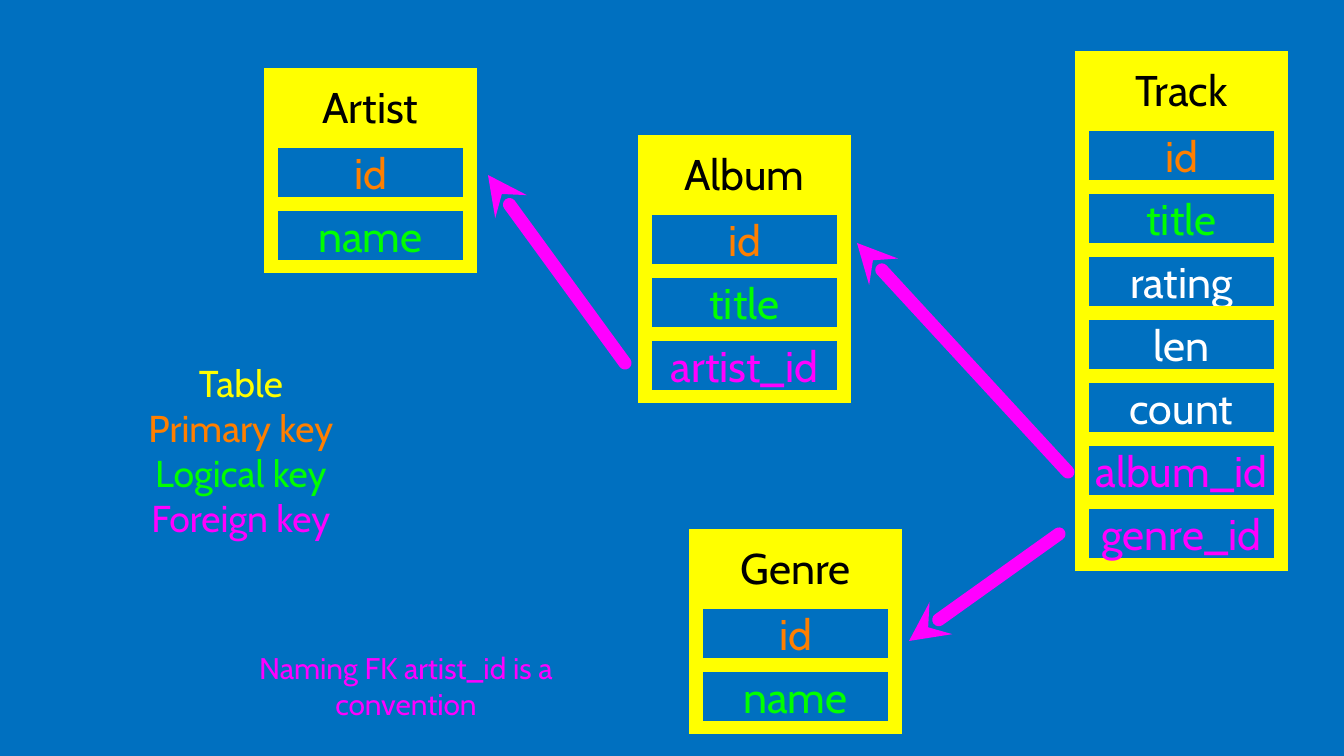
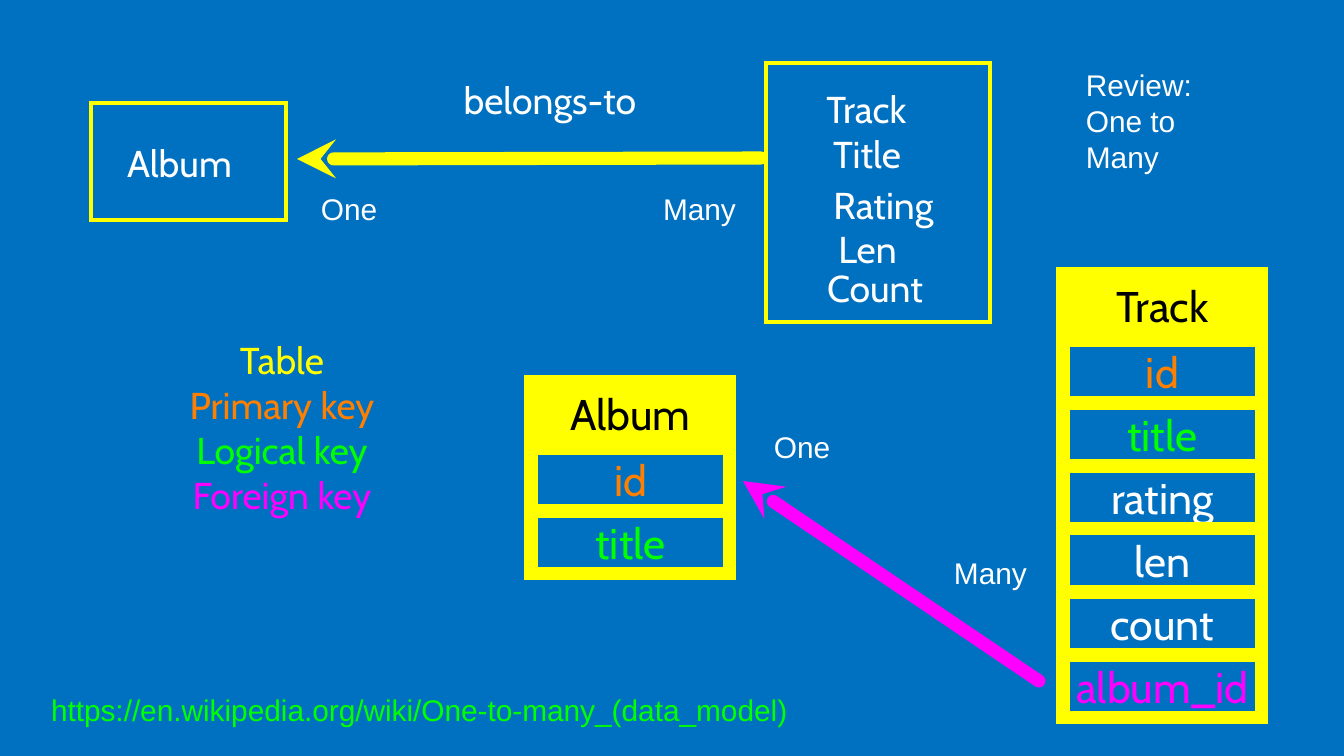
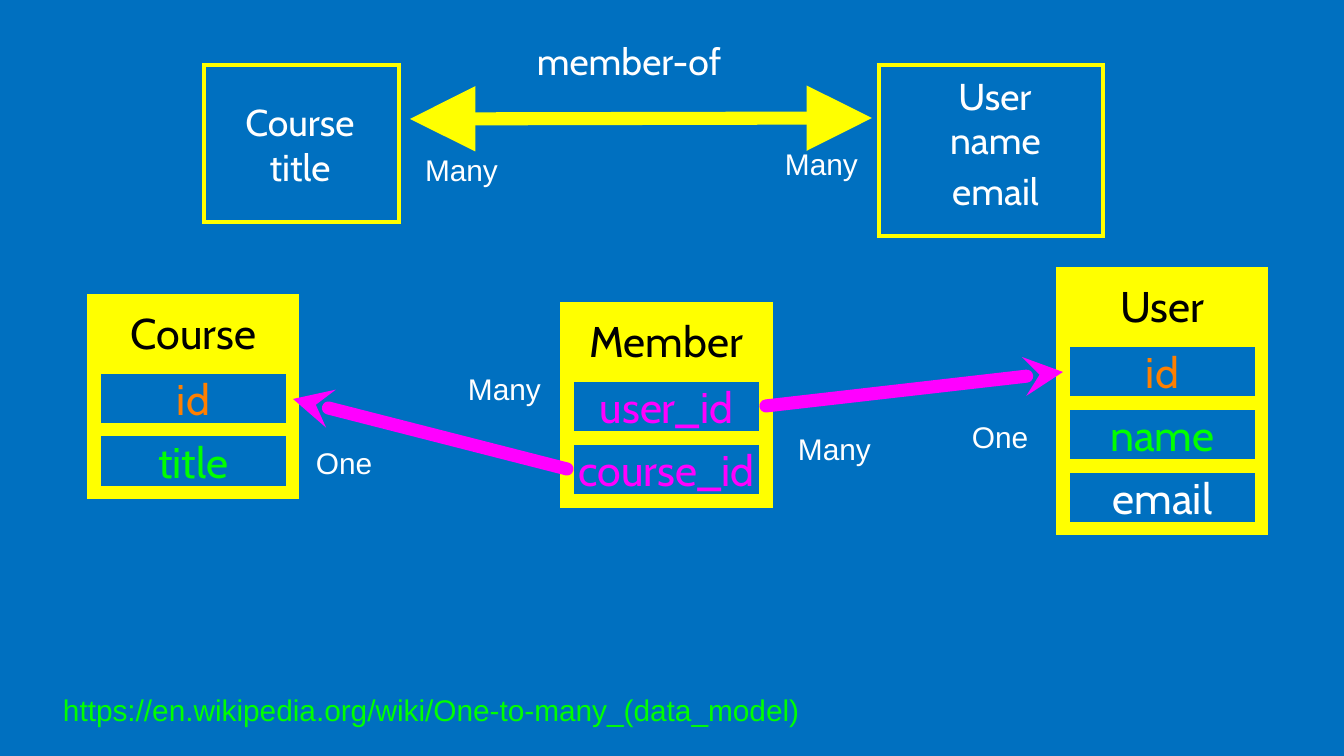
from pptx import Presentation, util as u
from pptx.dml.color import RGBColor
from pptx.enum import shapes, text
from pptx.oxml.ns import qn
from lxml import etree

EMU_PER_PX = 914400 / 134.4
BLUE, YELLOW, ORANGE, GREEN = "0070C0", "FFFF00", "FF7F00", "00FF00"
MAGENTA, WHITE, BLACK = "FF00FF", "FFFFFF", "000000"
HEADING, BODY = "Cabin", "Arial"
THICK, THIN = 7, 2
TABLE_WIDTH, ROW_HEIGHT, FIRST_ROW = 199, 63, 66
LEGEND = [("Table", YELLOW), ("Primary key", ORANGE),
          ("Logical key", GREEN), ("Foreign key", MAGENTA)]
REFERENCE = "https://en.wikipedia.org/wiki/One-to-many_(data_model)"


def px(*lengths):
    return [u.Emu(round(length * EMU_PER_PX)) for length in lengths]


def colour(hex_value):
    return RGBColor.from_string(hex_value)


def assign(target, values):
    for name, value in values.items():
        setattr(target, name, value)


def field_colour(field):
    """Pick the key colour that the field's name implies."""
    if field.endswith("_id"):
        return MAGENTA
    return {"id": ORANGE, "title": GREEN, "name": GREEN}.get(field, WHITE)


class Diagram:
    def __init__(self):
        self.deck = Presentation()
        self.deck.slide_width, self.deck.slide_height = px(1344, 756)
        fill = self.deck.slide_master.background.fill
        fill.solid()
        fill.fore_color.rgb = colour(BLUE)
        self.page = None

    def new_page(self):
        self.page = self.deck.slides.add_slide(self.deck.slide_layouts[6])

    def outline(self, shape, hex_value, width):
        shape.line.color.rgb = colour(hex_value)
        shape.line.width = u.Pt(width)
        return shape.line._get_or_add_ln()

    def set_text(self, shape, lines, size, font=HEADING,
                 align=text.PP_ALIGN.CENTER, anchor=text.MSO_ANCHOR.MIDDLE,
                 insets=(0, 0, 0, 0)):
        """Fill a shape with (words, colour) lines."""
        frame = shape.text_frame
        left, top, right, bottom = px(*insets)
        assign(frame, {"word_wrap": True, "vertical_anchor": anchor,
                       "margin_left": left, "margin_top": top,
                       "margin_right": right, "margin_bottom": bottom})
        for index, (words, hex_value) in enumerate(lines):
            para = frame.add_paragraph() if index else frame.paragraphs[0]
            para.alignment = align
            span = para.add_run()
            span.text = words
            assign(span.font, {"name": font, "size": u.Pt(size)})
            span.font.color.rgb = colour(hex_value)

    def box(self, left, top, width, height, line_width=THIN, fill=None):
        box = self.page.shapes.add_shape(
            shapes.MSO_SHAPE.RECTANGLE, *px(left, top, width, height))
        box.shadow.inherit = False
        if fill:
            box.fill.solid()
            box.fill.fore_color.rgb = colour(fill)
        else:
            box.fill.background()
        line = self.outline(box, YELLOW, line_width)
        etree.SubElement(line, qn("a:miter"), lim="800000")
        return box

    def table_model(self, left, top, name, *fields):
        """Stack a filled heading and one outlined box for each field."""
        heading = self.box(left, top, TABLE_WIDTH, ROW_HEIGHT, THICK, YELLOW)
        self.set_text(heading, [(name, BLACK)], 23)
        for index, field in enumerate(fields):
            row = self.box(left, top + FIRST_ROW + index * ROW_HEIGHT,
                           TABLE_WIDTH, ROW_HEIGHT, THICK)
            self.set_text(row, [(field, field_colour(field))], 23)

    def arrow(self, tip, end, hex_value=MAGENTA, both=False):
        """Point at tip with a slim head, or at both ends with large triangles."""
        arrow = self.page.shapes.add_connector(
            shapes.MSO_CONNECTOR.STRAIGHT, *px(*tip, *end))
        line = self.outline(arrow, hex_value, THICK)
        line.set("cap", "rnd")
        etree.SubElement(line, qn("a:round"))
        kind, size = ("triangle", "lg") if both else ("stealth", "med")
        for tag in ("a:headEnd", "a:tailEnd")[:2 if both else 1]:
            etree.SubElement(line, qn(tag), type=kind, w=size, len=size)
        etree.SubElement(arrow._element.spPr, qn("a:effectLst"))

    def caption(self, left, top, width, height, *lines, size=20, shift=0):
        """Centre lines in a box; shift is an inset on the right."""
        box = self.page.shapes.add_textbox(*px(left, top, width, height))
        self.set_text(box, lines, size, insets=(0, 0, shift, 0))

    def attribute(self, left, top, width, words, shift=0):
        self.caption(left, top, width, 51, (words, WHITE), shift=shift)

    def label(self, left, top, width, *words, height=43, hex_value=WHITE):
        box = self.page.shapes.add_textbox(*px(left, top, width, height))
        self.set_text(box, [(line, hex_value) for line in words], 16, BODY,
                      text.PP_ALIGN.LEFT, text.MSO_ANCHOR.TOP, (8, 4, 8, 4))


def music_schema(diagram):
    diagram.new_page()
    diagram.table_model(645, 142, "Album", "id", "title", "artist_id")
    diagram.table_model(1082, 58, "Track", "id", "title", "rating", "len",
                        "count", "album_id", "genre_id")
    diagram.table_model(271, 75, "Artist", "id", "name")
    diagram.table_model(696, 536, "Genre", "id", "name")
    diagram.arrow((857, 243), (1068, 472))
    diagram.arrow((909, 641), (1059, 534))
    diagram.arrow((488, 175), (625, 363))
    diagram.caption(94, 360, 294, 180, *LEGEND)
    diagram.caption(222, 648, 368, 75,
                    ("Naming FK artist_id is a convention", MAGENTA), size=16)


def one_to_many(diagram):
    diagram.new_page()
    diagram.box(766, 63, 224, 259)
    diagram.box(91, 103, 195, 117)
    diagram.arrow((297, 159), (761, 158), YELLOW)
    for left, top, width, words, shift in [
            (122, 137, 130, "Album", 15), (445, 74, 210, "belongs-to", 0),
            (817, 83, 114, "Track", 15), (824, 128, 101, "Title", 15),
            (817, 179, 133, "Rating", 0), (832, 223, 86, "Len", 15),
            (821, 262, 108, "Count", 0)]:
        diagram.attribute(left, top, width, words, shift)
    diagram.table_model(531, 382, "Album", "id", "title")
    diagram.table_model(1063, 274, "Track", "id", "title", "rating", "len",
                        "count", "album_id")
    diagram.arrow((743, 481), (1039, 681))
    diagram.caption(151, 337, 262, 180, *LEGEND)
    for left, top, words in [(946, 551, "Many"), (766, 425, "One"),
                             (655, 187, "Many"), (313, 187, "One")]:
        diagram.label(left, top, 101, words)
    diagram.label(1078, 63, 185, "Review:", "One to Many", height=79)
    diagram.label(43, 688, 796, REFERENCE, hex_value=GREEN)


def many_to_many(diagram):
    diagram.new_page()
    diagram.box(879, 65, 224, 171)
    diagram.box(204, 65, 195, 157)
    diagram.caption(235, 97, 130, 94, ("Course", WHITE), ("title", WHITE))
    diagram.arrow((410, 119), (872, 118), YELLOW, both=True)
    for left, top, width, words in [
            (524, 35, 210, "member-of"), (938, 70, 114, "User"),
            (945, 114, 101, "name"), (929, 165, 133, "email")]:
        diagram.attribute(left, top, width, words)
    diagram.table_model(567, 309, "Member", "user_id", "course_id")
    diagram.table_model(1063, 274, "User", "id", "name", "email")
    diagram.table_model(94, 301, "Course", "id", "title")
    diagram.arrow((293, 399), (567, 469))
    diagram.arrow((1063, 372), (766, 406))
    for left, top, words in [(790, 427, "Many"), (964, 415, "One"),
                             (777, 142, "Many"), (417, 148, "Many"),
                             (308, 441, "One"), (460, 367, "Many")]:
        diagram.label(left, top, 101, words)
    diagram.label(55, 688, 813, REFERENCE, hex_value=GREEN)


def main():
    diagram = Diagram()
    music_schema(diagram)
    one_to_many(diagram)
    many_to_many(diagram)
    diagram.deck.save("out.pptx")


if __name__ == "__main__":
    main()
